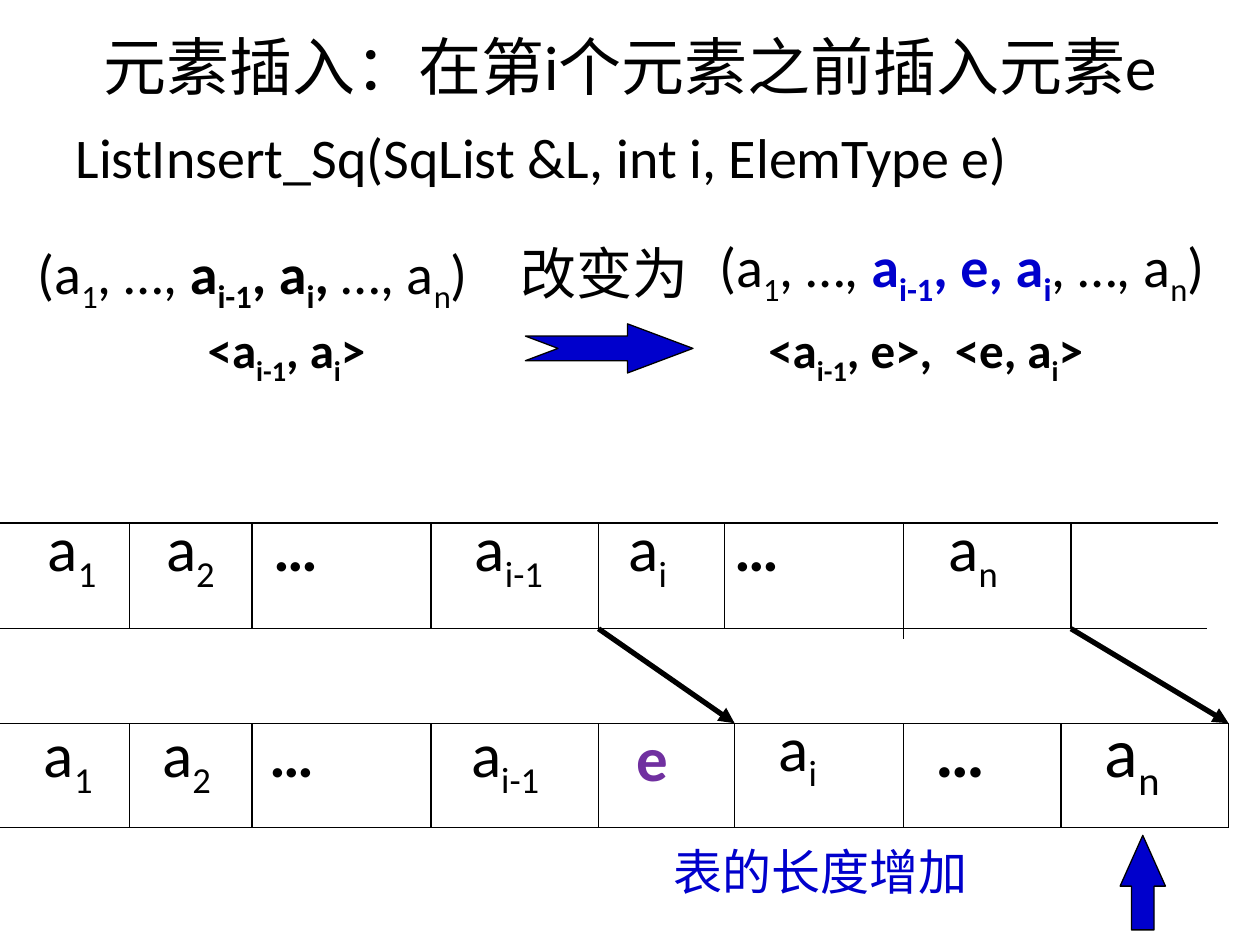
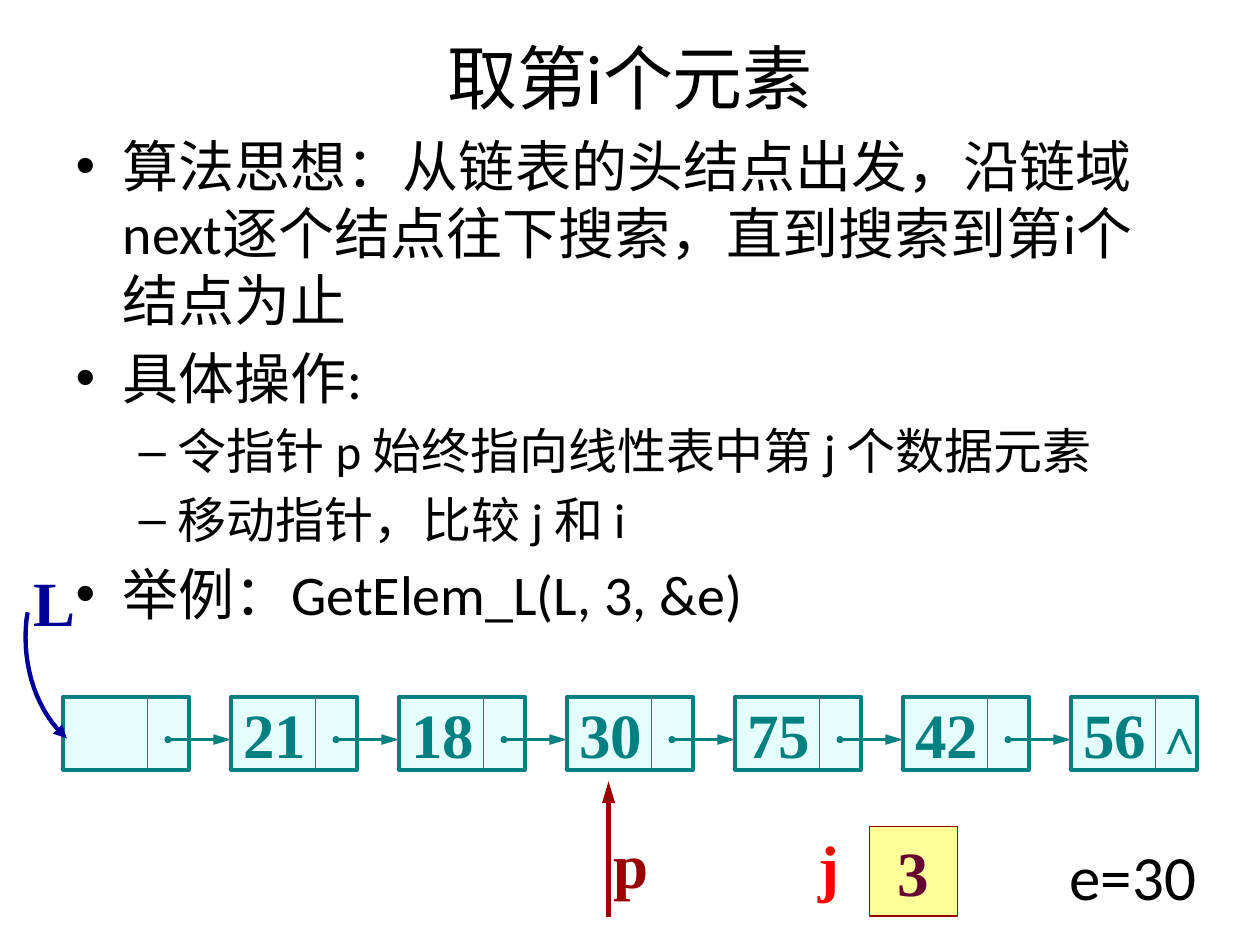
from dataclasses import dataclass
from typing import Optional

from lxml import etree
from pptx import Presentation
from pptx import util as u
from pptx.dml.color import RGBColor
from pptx.enum import shapes, text
from pptx.oxml import ns

COLORS = {
    "black": "000000", "white": "FFFFFF", "blue": "0000CC", "purple": "7030A0",
    "navy": "000099", "teal": "008080", "aqua": "CCFFFF", "maroon": "990000",
    "red": "FF0000", "yellow": "FFFF99", "plum": "660033",
}
BODY_FONT = "Calibri"
NODE_FONT = "Times New Roman"
THIN = 0.75


@dataclass
class Label:
    """Text where *...* is bold and ~...~ is subscript."""
    content: str
    left: float
    top: float
    width: float
    size: int = 36
    color: str = "black"
    font: str = BODY_FONT
    bold_color: Optional[str] = None


@dataclass
class Arrowhead:
    end: str
    kind: str = "triangle"
    width: str = "med"
    length: str = "med"


@dataclass
class ArrayRow:
    top: float
    bottom: float
    top_end: float
    bottom_end: float
    dividers: tuple


@dataclass
class BodyLine:
    content: str
    level: int = 0
    size: int = 32


def rgb(name: str) -> RGBColor:
    return RGBColor.from_string(COLORS[name])


# Text
def apply_format(target, values: dict) -> None:
    for name, value in values.items():
        setattr(target, name, value)


def add_runs(paragraph, content: str, size: int, color: str = "black",
             font: str = BODY_FONT, bold_color: Optional[str] = None) -> None:
    for bold_index, part in enumerate(content.split("*")):
        bold = bold_index % 2 == 1
        for sub_index, piece in enumerate(part.split("~")):
            if not piece:
                continue
            run = paragraph.add_run()
            run.text = piece
            apply_format(run.font, {"size": u.Pt(size), "name": font, "bold": bold})
            run.font.color.rgb = rgb(bold_color if bold and bold_color else color)
            if sub_index % 2:
                run._r.get_or_add_rPr().set("baseline", "-25000")


def add_label(slide, label: Label) -> None:
    height = label.size / 72 * 1.22 + 0.1
    shape = slide.shapes.add_textbox(u.Inches(label.left), u.Inches(label.top),
                                     u.Inches(label.width), u.Inches(height))
    shape.text_frame.word_wrap = True
    add_runs(shape.text_frame.paragraphs[0], label.content, label.size,
             label.color, label.font, label.bold_color)


def place(shape, left: float, top: float, width: float, height: float) -> None:
    apply_format(shape, {"left": u.Inches(left), "top": u.Inches(top),
                         "width": u.Inches(width), "height": u.Inches(height)})


def set_title(slide, content: str, top: float, size: int) -> None:
    title = slide.shapes.title
    place(title, 0.5, top, 9, 1.09)
    apply_format(title.text_frame, {"vertical_anchor": text.MSO_ANCHOR.MIDDLE,
                                    "word_wrap": True})
    paragraph = title.text_frame.paragraphs[0]
    paragraph.alignment = text.PP_ALIGN.CENTER
    add_runs(paragraph, content, size)


def set_body(slide, lines: list, top: float, bulleted: bool = True) -> None:
    body = slide.placeholders[1]
    place(body, 0.5, top, 9, 6.06)
    frame = body.text_frame
    frame.auto_size = text.MSO_AUTO_SIZE.NONE
    for index, line in enumerate(lines):
        paragraph = frame.add_paragraph() if index else frame.paragraphs[0]
        paragraph.level = line.level
        if index == 0:
            paragraph.space_before = u.Pt(0)
        if not bulleted:
            properties = paragraph._p.get_or_add_pPr()
            properties.set("marL", "0")
            properties.set("indent", "0")
            etree.SubElement(properties, ns.qn("a:buNone"))
        add_runs(paragraph, line.content, line.size)


# Lines and shapes
def style_line(line, color: str, width: float, heads: tuple = ()) -> None:
    line.color.rgb = rgb(color)
    line.width = u.Pt(width)
    for head in heads:
        etree.SubElement(line._get_or_add_ln(), ns.qn(f"a:{head.end}End"),
                         type=head.kind, w=head.width, len=head.length)


def add_line(slide, start: tuple, end: tuple, color: str = "black",
             width: float = THIN, heads: tuple = ()) -> None:
    connector = slide.shapes.add_connector(
        shapes.MSO_CONNECTOR.STRAIGHT, *(u.Inches(value) for value in start + end))
    style_line(connector.line, color, width, heads)
    etree.SubElement(connector._element.spPr, ns.qn("a:effectLst"))


def add_preset(slide, kind, left: float, top: float, width: float, height: float,
               fill: str, line: str, line_width: float = THIN,
               adjustments: tuple = (), alpha: Optional[int] = None):
    shape = slide.shapes.add_shape(kind, u.Inches(left), u.Inches(top),
                                   u.Inches(width), u.Inches(height))
    shape.shadow.inherit = False
    shape.fill.solid()
    shape.fill.fore_color.rgb = rgb(fill)
    if alpha is not None:
        color = shape._element.spPr.find(".//" + ns.qn("a:srgbClr"))
        etree.SubElement(color, ns.qn("a:alpha"), val=str(alpha * 1000))
    style_line(shape.line, line, line_width)
    for index, value in enumerate(adjustments):
        shape.adjustments[index] = value
    return shape


def add_box_text(shape, content: str, color: str, alignment) -> None:
    apply_format(shape.text_frame, {"word_wrap": True,
                                    "vertical_anchor": text.MSO_ANCHOR.MIDDLE})
    paragraph = shape.text_frame.paragraphs[0]
    paragraph.alignment = alignment
    add_runs(paragraph, f"*{content}*", 36, color, NODE_FONT)


def add_array_row(slide, row: ArrayRow) -> None:
    add_line(slide, (0, row.top), (row.top_end, row.top))
    add_line(slide, (0, row.bottom), (row.bottom_end, row.bottom))
    for x in row.dividers:
        add_line(slide, (x, row.top), (x, row.bottom))


def add_curve(slide, points: tuple, tail: tuple, color: str) -> None:
    """Draw a cubic curve through four control points, then on to the tail."""
    steps = 16
    vertices = []
    for step in range(steps + 1):
        t = step / steps
        weights = ((1 - t) ** 3, 3 * t * (1 - t) ** 2, 3 * t * t * (1 - t), t ** 3)
        vertices.append(tuple(u.Inches(sum(w * p[axis] for w, p in zip(weights, points)))
                              for axis in (0, 1)))
    vertices.append(tuple(u.Inches(value) for value in tail))
    builder = slide.shapes.build_freeform(*vertices[0])
    builder.add_line_segments(vertices[1:], close=False)
    shape = builder.convert_to_shape()
    shape.shadow.inherit = False
    shape.fill.background()
    style_line(shape.line, color, 2.5, (Arrowhead("head"),))


# Slide 1: insertion into a sequential list
def build_insert_slide(slide) -> None:
    set_title(slide, "元素插入：在第i个元素之前插入元素e", -0.03, 36)
    set_body(slide, [BodyLine("ListInsert_Sq(SqList &L, int i, ElemType e)")], 0.92, False)

    before = ArrayRow(4.15, 4.99, 9.67, 9.58, (1.03, 2, 3.42, 4.75, 5.75, 7.17, 8.5))
    after = ArrayRow(5.74, 6.57, 9.75, 9.75, (1.03, 2, 3.42, 4.75, 5.83, 7.17, 8.42, 9.75))
    for row in (before, after):
        add_array_row(slide, row)
    add_line(slide, (7.17, before.bottom), (7.17, 5.07))

    labels = [
        # The list before and after
        Label("(a~1~, …, *a~i-1~, a~i~,* …, a~n~)", 0.2, 1.84, 3.8, 32),
        Label("改变为", 4.03, 1.84, 1.6, 32),
        Label("(a~1~, …, *a~i-1~, e, a~i~*, …, a~n~)", 5.61, 1.79, 4.3, 32, bold_color="blue"),
        Label("*<a~i-1~, a~i~>*", 1.55, 2.49, 1.7, 28),
        Label("*<a~i-1~, e>,*", 6, 2.49, 1.6, 28),
        Label("*<e, a~i~>*", 7.48, 2.49, 1.4, 28),
        # Cells from the insertion point on
        Label("*e*", 4.95, 5.65, 0.6, color="purple"),
        Label("a~i~", 6.08, 5.57, 0.7),
        Label("*…*", 7.33, 5.57, 0.8, 40),
        Label("a~n~", 8.67, 5.57, 0.9, 40),
        Label("表的长度增加", 5.25, 6.63, 2.7, 28, "blue", "Arial"),
    ]
    # Cells of the first row; the leading ones stand in both rows
    cells = (("a~1~", 0.28), ("a~2~", 1.22), ("*…*", 2.07), ("a~i-1~", 3.67),
             ("a~i~", 4.89), ("*…*", 5.73), ("a~n~", 7.43))
    labels += [Label(content, left, 3.99, 0.9) for content, left in cells]
    labels += [Label(content, left - 0.03, 5.62, 0.9) for content, left in cells[:4]]
    for label in labels:
        add_label(slide, label)

    # Cells shift to the right
    for start, end in ((4.75, 5.83), (8.5, 9.75)):
        add_line(slide, (start, before.bottom), (end, after.top), "black", 3,
                 (Arrowhead("tail"),))
    add_preset(slide, shapes.MSO_SHAPE.NOTCHED_RIGHT_ARROW, 4.17, 2.57, 1.33, 0.39,
               "blue", "black", adjustments=(0.5, 1.33))
    add_preset(slide, shapes.MSO_SHAPE.UP_ARROW, 8.89, 6.63, 0.36, 0.75,
               "blue", "black", adjustments=(0.5, 1.12))


# Slide 2: reading an element of a linked list
def build_get_slide(slide) -> None:
    set_title(slide, "取第i个元素", 0.06, 40)
    set_body(slide, [
        BodyLine("算法思想：从链表的头结点出发，沿链域next逐个结点往下搜索，直到搜索到第i个结点为止"),
        BodyLine("具体操作:"),
        BodyLine("令指针 p 始终指向线性表中第 j 个数据元素", 1, 28),
        BodyLine("移动指针，比较 j 和 i", 1, 28),
        BodyLine("举例：GetElem_L(L, 3, &e)"),
    ], 0.99)

    # Chain of nodes
    node_top, node_height, pitch, link_y = 5.53, 0.58, 4 / 3, 5.87
    link_heads = (Arrowhead("head", "oval", "sm", "sm"), Arrowhead("tail", length="lg"))
    for index, value in enumerate(("", "21", "18", "30", "75", "42", "56")):
        left = 0.5 + index * pitch
        node = add_preset(slide, shapes.MSO_SHAPE.RECTANGLE, left, node_top, 1, node_height,
                          "aqua", "teal", 2, alpha=50)
        if value:
            add_box_text(node, value, "teal", text.PP_ALIGN.LEFT)
            add_line(slide, (left - 0.5, link_y), (left, link_y), "teal", 2, link_heads)
        add_line(slide, (left + 0.67, node_top), (left + 0.67, node_top + node_height), "teal")

    # Pointers and results
    add_curve(slide, ((0.53, 5.86), (0.3, 5.66), (0.17, 5.3), (0.21, 4.92)), (0.22, 4.86), "navy")
    add_line(slide, (4.83, 6.2), (4.83, 7.28), "maroon", 2.5, (Arrowhead("head", length="lg"),))
    counter = add_preset(slide, shapes.MSO_SHAPE.RECTANGLE, 6.9, 6.56, 0.7, 0.71,
                         "yellow", "maroon")
    add_box_text(counter, "3", "plum", text.PP_ALIGN.CENTER)
    for label in (
        Label("*L*", 0.17, 4.42, 0.6, color="navy", font=NODE_FONT),
        Label("*∧*", 9.07, 5.55, 0.7, 28, "teal", NODE_FONT),
        Label("*p*", 4.77, 6.5, 0.6, color="maroon", font=NODE_FONT),
        Label("*j*", 6.4, 6.52, 0.5, color="red", font=NODE_FONT),
        Label("e=30", 8.39, 6.6, 1.4),
    ):
        add_label(slide, label)


def main() -> None:
    presentation = Presentation()
    presentation.slide_width = u.Inches(10)
    presentation.slide_height = u.Inches(7.5)
    for build in (build_insert_slide, build_get_slide):
        slide = presentation.slides.add_slide(presentation.slide_layouts[1])
        slide.background.fill.solid()
        slide.background.fill.fore_color.rgb = rgb("white")
        build(slide)
    presentation.save("out.pptx")


if __name__ == "__main__":
    main()
